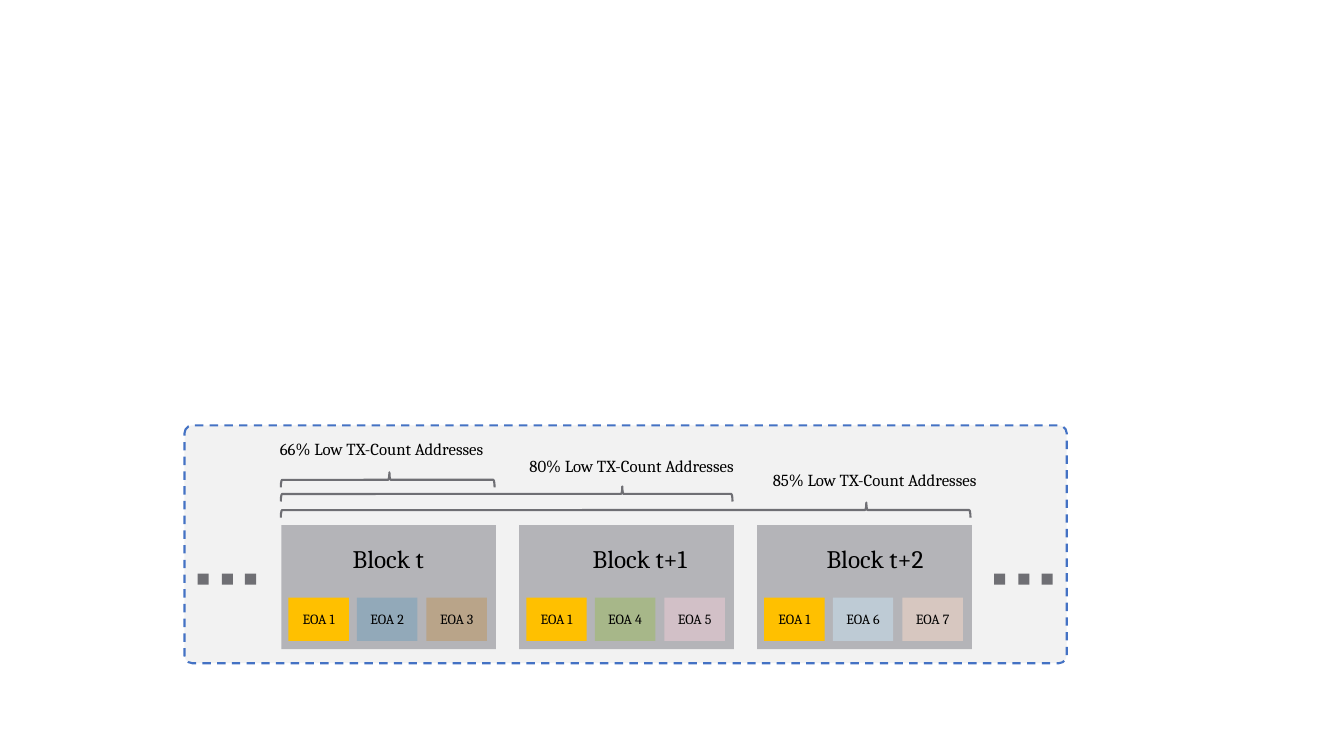
"""Build the slide of blocks and their low TX-count address shares."""
import pptx
import pptx.dml.color
import pptx.enum.dml
import pptx.enum.shapes
import pptx.enum.text
import pptx.util

RGBColor = pptx.dml.color.RGBColor
MSO_SHAPE = pptx.enum.shapes.MSO_SHAPE
PP_ALIGN = pptx.enum.text.PP_ALIGN

PX = 9144
FONT = "Cambria"
BLACK = RGBColor(0x00, 0x00, 0x00)
PANEL = RGBColor(0xF2, 0xF2, 0xF2)
BLUE = RGBColor(0x44, 0x72, 0xC4)
BLOCK = RGBColor(0xB4, 0xB4, 0xB8)
GRAY = RGBColor(0x6F, 0x6F, 0x74)
AMBER = RGBColor(0xFF, 0xC0, 0x00)
STEEL = RGBColor(0x92, 0xA9, 0xB9)
TAN = RGBColor(0xB9, 0xA4, 0x89)
GREEN = RGBColor(0xA7, 0xB7, 0x89)
MAUVE = RGBColor(0xD2, 0xC0, 0xC7)
PALE_BLUE = RGBColor(0xBE, 0xCB, 0xD5)
PALE_ROSE = RGBColor(0xD7, 0xC7, 0xC0)

BLOCK_LEFT, BLOCK_STEP, BLOCK_WIDTH = 279, 236, 213
EOA_OFFSETS = (7, 75, 144)
BLOCKS = (
    ("Block t", 340, (("EOA 1", AMBER), ("EOA 2", STEEL), ("EOA 3", TAN))),
    ("Block t+1", 578, (("EOA 1", AMBER), ("EOA 4", GREEN), ("EOA 5", MAUVE))),
    ("Block t+2", 810, (("EOA 1", AMBER), ("EOA 6", PALE_BLUE), ("EOA 7", PALE_ROSE))),
)
SHARES = (
    ("66% Low TX-Count Addresses", (242, 430, 273), 212, 476, 0.492),
    ("80% Low TX-Count Addresses", (495, 447, 263), 448, 490, 0.244),
    ("85% Low TX-Count Addresses", (738, 461, 259), 684, 506, 0.151),
)


def emu(*lengths):
    """Turn px lengths into EMU."""
    return [pptx.util.Emu(n * PX) for n in lengths]


def write(sp, text, size, align):
    """Set one line of text in a shape and format it."""
    tf = sp.text_frame
    tf.word_wrap = True
    tf.text = text
    p = tf.paragraphs[0]
    p.alignment = align
    font = p.runs[0].font
    font.name = FONT
    font.size = pptx.util.Pt(size)
    font.color.rgb = BLACK


def add_shape(s, kind, box, fill=None, line=None):
    """Add a preset shape with an optional fill and outline."""
    sp = s.shapes.add_shape(kind, *emu(*box))
    sp.shadow.inherit = False
    if fill is None:
        sp.fill.background()
    else:
        sp.fill.solid()
        sp.fill.fore_color.rgb = fill
    if line is None:
        sp.line.fill.background()
    else:
        sp.line.color.rgb = line
        sp.line.width = pptx.util.Pt(1.5)
    return sp


def add_label(s, text, box, size, align):
    """Add a text box with one line of text."""
    write(s.shapes.add_textbox(*emu(*box)), text, size, align)


def add_panel(s):
    """Add the dashed background panel."""
    sp = add_shape(s, MSO_SHAPE.ROUNDED_RECTANGLE, (183, 422, 875, 236), PANEL, BLUE)
    sp.adjustments[0] = 0.033
    sp.line.dash_style = pptx.enum.dml.MSO_LINE.DASH


def add_block(s, left, title, title_left, accounts):
    """Add a block with its title and account boxes."""
    add_shape(s, MSO_SHAPE.RECTANGLE, (left, 521, BLOCK_WIDTH, 123), BLOCK)
    for offset, (name, color) in zip(EOA_OFFSETS, accounts):
        sp = add_shape(s, MSO_SHAPE.RECTANGLE, (left + offset, 593, 60, 43), color)
        sp.text_frame.vertical_anchor = pptx.enum.text.MSO_ANCHOR.MIDDLE
        write(sp, name, 10, PP_ALIGN.CENTER)
    add_label(s, title, (title_left, 534, 139, 40), 18, PP_ALIGN.LEFT)


def add_brace(s, span, middle, tip):
    """Add a brace lying over the given span from the first block."""
    box = (BLOCK_LEFT + span // 2 - 8, middle - span // 2, 15, span)
    sp = add_shape(s, MSO_SHAPE.LEFT_BRACE, box, line=GRAY)
    sp.rotation = 90
    sp.adjustments[0] = 0.083
    sp.adjustments[1] = tip


def add_dots(s, left):
    """Add three square dots of an ellipsis."""
    for i in range(3):
        add_shape(s, MSO_SHAPE.RECTANGLE, (left + round(23.5 * i), 569, 11, 11), GRAY)


def main():
    """Build and save the slide."""
    prs = pptx.Presentation()
    prs.slide_width, prs.slide_height = emu(1333, 750)
    s = prs.slides.add_slide(prs.slide_layouts[6])
    add_panel(s)
    for i, (title, title_left, accounts) in enumerate(BLOCKS):
        add_block(s, BLOCK_LEFT + i * BLOCK_STEP, title, title_left, accounts)
    for text, (left, top, width), span, middle, tip in SHARES:
        add_brace(s, span, middle, tip)
        add_label(s, text, (left, top, width, 30), 12, PP_ALIGN.CENTER)
    for left in (196, 986):
        add_dots(s, left)
    prs.save("out.pptx")


if __name__ == "__main__":
    main()
